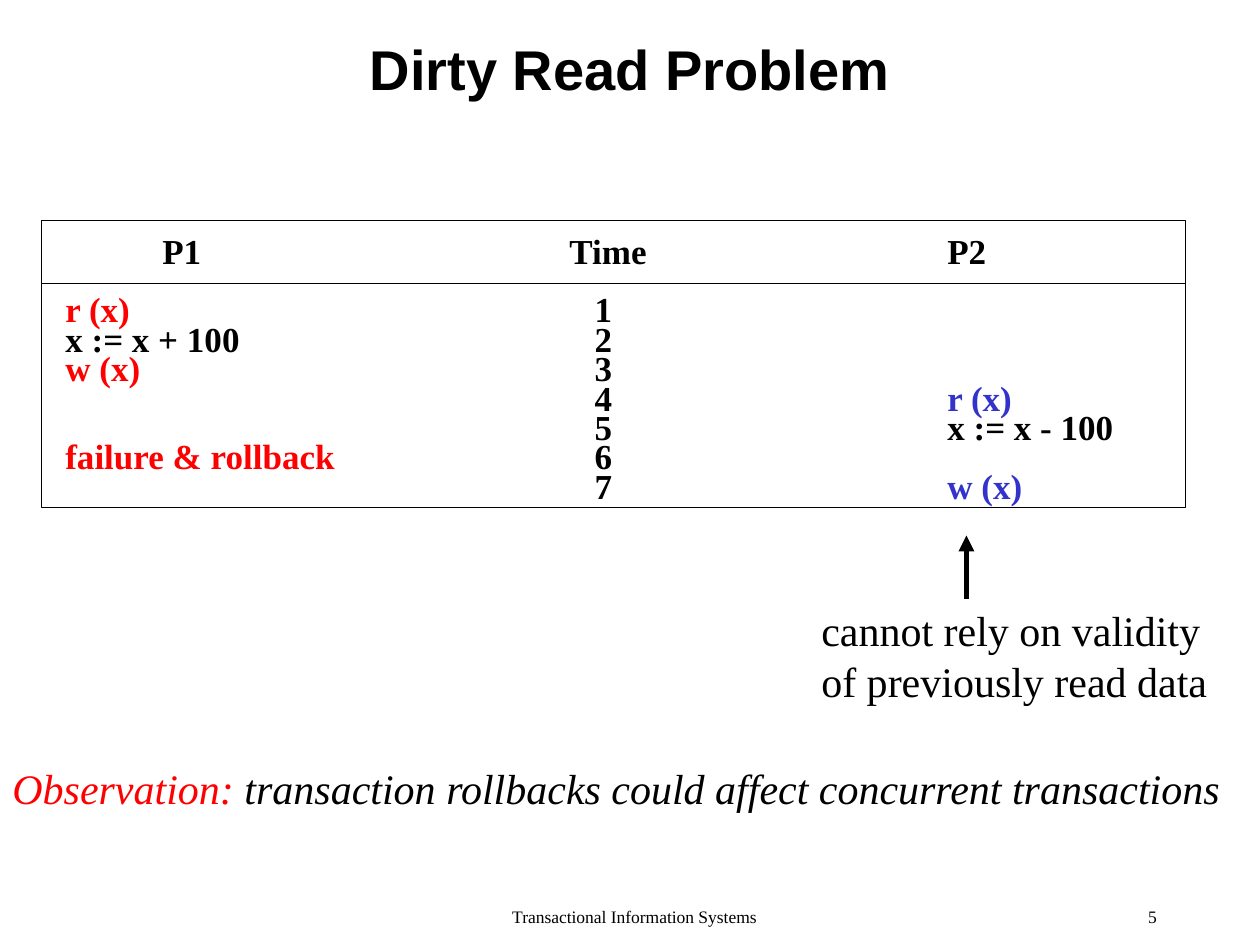
import dataclasses

import lxml.etree
import pptx
import pptx.dml.color
import pptx.enum.shapes
import pptx.enum.text
import pptx.oxml.ns
import pptx.util

Inches = pptx.util.Inches
Pt = pptx.util.Pt
ALIGN = pptx.enum.text.PP_ALIGN
ANCHOR = pptx.enum.text.MSO_ANCHOR


@dataclasses.dataclass(frozen=True)
class Theme:
    black: str = "000000"
    red: str = "FF0000"
    blue: str = "3333CC"
    heading_font: str = "Arial"
    body_font: str = "Times New Roman"
    title: int = 32
    remark: int = 24
    schedule: int = 20
    footer: int = 10
    thin: float = 0.75
    thick: float = 3


THEME = Theme()

# Step at each time: (P1, P2), each with its colour
STEPS = [
    (("r (x)", THEME.red), None),
    (("x := x + 100", THEME.black), None),
    (("w (x)", THEME.red), None),
    (None, ("r (x)", THEME.blue)),
    (None, ("x := x - 100", THEME.black)),
    (("failure & rollback", THEME.red), None),
    (None, ("w (x)", THEME.blue)),
]


def rgb(color):
    return pptx.dml.color.RGBColor.from_string(color)


def add_child(parent, tag, **attributes):
    child = lxml.etree.SubElement(parent, pptx.oxml.ns.qn(tag))
    for name, value in attributes.items():
        child.set(name, str(value))
    return child


def write(para, spans, size, font=THEME.body_font, bold=False, italic=False,
          align=ALIGN.LEFT, spacing=None, before=0, tabs=()):
    """Fill a paragraph with (text, colour) spans in one format."""
    para.alignment = align
    para.space_before = Pt(before)
    if spacing:
        para.line_spacing = spacing
    if tabs:
        tab_list = add_child(para._p.get_or_add_pPr(), "a:tabLst")
        for stop in tabs:
            add_child(tab_list, "a:tab", pos=int(Inches(stop)), algn="l")
    for text, color in spans:
        span = para.add_run()
        span.text = text
        span.font.name = font
        span.font.size = Pt(size)
        span.font.bold = bold
        span.font.italic = italic
        span.font.color.rgb = rgb(color)


def add_text(page, box, lines, **formats):
    """Add a text box with one paragraph for each list of spans."""
    frame = page.shapes.add_textbox(*map(Inches, box)).text_frame
    frame.word_wrap = True
    for index, spans in enumerate(lines):
        para = frame.add_paragraph() if index else frame.paragraphs[0]
        write(para, spans, **formats)
    return frame


def add_line(page, start, end, width):
    line = page.shapes.add_connector(
        pptx.enum.shapes.MSO_CONNECTOR.STRAIGHT, *map(Inches, start + end))
    line.line.color.rgb = rgb(THEME.black)
    line.line.width = Pt(width)
    add_child(line._element.spPr, "a:effectLst")
    return line


def add_title(page, box, text):
    title = page.shapes.title
    title.left, title.top, title.width, title.height = map(Inches, box)
    title.text_frame.vertical_anchor = ANCHOR.MIDDLE
    write(title.text_frame.paragraphs[0], [(text, THEME.black)], THEME.title,
          font=THEME.heading_font, bold=True, align=ALIGN.CENTER)


def add_schedule(page, box):
    left, top, width, height = box
    # Frame and header rule
    frame = page.shapes.add_shape(
        pptx.enum.shapes.MSO_SHAPE.RECTANGLE, *map(Inches, box))
    frame.shadow.inherit = False
    frame.fill.background()
    frame.line.color.rgb = rgb(THEME.black)
    frame.line.width = Pt(THEME.thin)
    rule = top + 0.5
    add_line(page, (left, rule), (left + width, rule), THEME.thin)

    # Header and steps, set in columns by tab stops
    look = dict(size=THEME.schedule, bold=True, spacing=0.7)
    text = add_text(page, (left + 0.09, top + 0.11, width - 0.09, height - 0.11),
                    [[("\tP1\tTime\tP2", THEME.black)]],
                    tabs=(0.77, 4, 7), **look)
    for time, (first, second) in enumerate(STEPS, 1):
        spans = [first] if first else []
        spans.append((f"\t{time}", THEME.black))
        if second:
            step, color = second
            spans.append((f"\t{step}", color))
        write(text.add_paragraph(), spans, tabs=(4.2, 7),
              before=16.8 if time == 1 else 0, **look)


def add_remark(page, box):
    left, top = box[:2]
    arrow = add_line(page, (left + 1.25, top), (left + 1.25, top - 0.5), THEME.thick)
    add_child(arrow.line._get_or_add_ln(), "a:tailEnd", type="triangle")
    add_text(page, box, [[("cannot rely on validity", THEME.black)],
                         [("of previously read data", THEME.black)]],
             size=THEME.remark)


def add_observation(page, box):
    add_text(page, box,
             [[("Observation:", THEME.red),
               (" transaction rollbacks could affect concurrent transactions",
                THEME.black)]],
             size=THEME.remark, italic=True)


def add_footer(page, box):
    left, top, width, height = box
    add_text(page, (left, top, 4.17, height),
             [[("Transactional Information Systems", THEME.black)]],
             size=THEME.footer, align=ALIGN.CENTER)
    add_text(page, (left + width - 2.08, top, 2.08, height),
             [[("5", THEME.black)]], size=THEME.footer, align=ALIGN.RIGHT)


def main():
    deck = pptx.Presentation()
    deck.slide_width, deck.slide_height = Inches(10), Inches(7.5)
    page = deck.slides.add_slide(deck.slide_layouts[5])
    add_title(page, (0, 0, 10, 1.08), "Dirty Read Problem")
    add_schedule(page, (0.33, 1.75, 9.08, 2.28))
    add_remark(page, (6.42, 4.75, 3.4, 0.9))
    add_observation(page, (0, 6, 10, 0.5))
    add_footer(page, (2.95, 7.14, 6.33, 0.36))
    deck.save("out.pptx")


if __name__ == "__main__":
    main()
